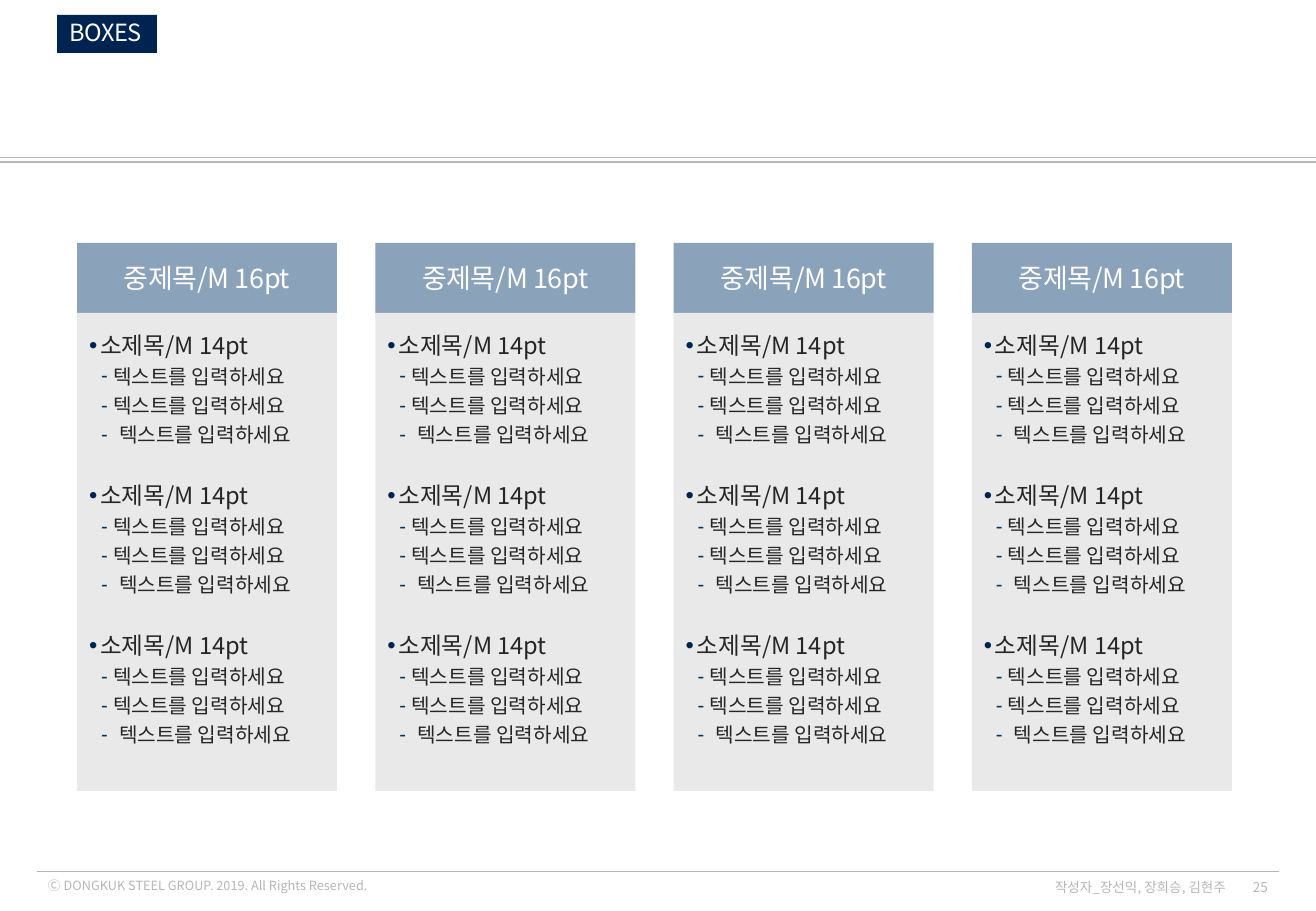
from pptx import Presentation
from pptx.dml.color import RGBColor
from pptx.enum.shapes import MSO_CONNECTOR, MSO_SHAPE
from pptx.enum.text import MSO_ANCHOR, PP_ALIGN
from pptx.oxml.ns import qn
from pptx.util import Pt
from lxml import etree

RECT, STRAIGHT = MSO_SHAPE.RECTANGLE, MSO_CONNECTOR.STRAIGHT
TOP, MIDDLE = MSO_ANCHOR.TOP, MSO_ANCHOR.MIDDLE
LEFT, CENTER, RIGHT = PP_ALIGN.LEFT, PP_ALIGN.CENTER, PP_ALIGN.RIGHT

# Content
BADGE = "BOXES"
COPYRIGHT = "Ⓒ DONGKUK STEEL GROUP. 2019. All Rights Reserved."
AUTHORS = "작성자_장선익, 장희승, 김현주"
PAGE = "25"
GROUP = ("소제목/M 14pt", ["텍스트를 입력하세요"] * 3)
COLUMNS = [("중제목/M 16pt", [GROUP] * 3)] * 4

THEME = {
    "font": "Noto Sans CJK KR", "bullet_font": "Arial",
    "navy": "002452", "dash": "003760", "header": "8BA2BB", "panel": "E9E9E9",
    "text": "262626", "white": "FFFFFF", "grey": "B6B6B6",
    "badge_pt": 14, "title_pt": 16, "group_pt": 14, "item_pt": 12,
    "copyright_pt": 7.5, "footer_pt": 8, "gap_pt": 17, "list_spacing": 1.2,
}

# Layout in px
SCALE = 7526
SLIDE_W, SLIDE_H = 1316, 911
RULES = [(0, SLIDE_W, 162, 1.5), (0, SLIDE_W, 157, 0.5), (37, 1279, 871, 0.5)]
COL_LEFT, COL_RIGHT, COL_W = 77, 1232, 260
HEAD_TOP, HEAD_H, PANEL_H = 243, 70, 478
PAD_X, PAD_Y = 12, 6
GROUP_INDENT = (11, 11)
ITEM_INDENT, LAST_ITEM_INDENT = (24, 12), (30, 18)


def px(n):
    return round(n * SCALE)


def color(name):
    return RGBColor.from_string(THEME[name])


def add_line(s, x1, x2, y, width):
    c = s.shapes.add_connector(STRAIGHT, px(x1), px(y), px(x2), px(y))
    c.line.color.rgb = color("grey")
    c.line.width = Pt(width)
    etree.SubElement(c._element.spPr, qn("a:effectLst"))


def set_frame(sp, anchor, pad_y=PAD_Y):
    tf = sp.text_frame
    tf.word_wrap = True
    tf.vertical_anchor = anchor
    tf.margin_left = tf.margin_right = px(PAD_X)
    tf.margin_top = tf.margin_bottom = px(pad_y)
    return tf


def add_box(s, x, y, w, h, fill, anchor, pad_y):
    sp = s.shapes.add_shape(RECT, px(x), px(y), px(w), px(h))
    sp.shadow.inherit = False
    sp.fill.solid()
    sp.fill.fore_color.rgb = color(fill)
    sp.line.fill.background()
    return set_frame(sp, anchor, pad_y)


def add_run(p, text, size, fill, align=LEFT, spacing=None):
    p.alignment = align
    r = p.add_run()
    r.text = text
    r.font.size = Pt(THEME[size])
    r.font.name = THEME["font"]
    r.font.color.rgb = color(fill)
    rPr = r.font._element
    etree.SubElement(rPr, qn("a:ea"), typeface=THEME["font"])
    if spacing:
        rPr.set("spc", str(spacing))


def add_bullet(p, char, fill, indent):
    left, hanging = indent
    p.line_spacing = THEME["list_spacing"]
    pPr = p._p.get_or_add_pPr()
    pPr.set("marL", str(px(left)))
    pPr.set("indent", str(-px(hanging)))
    clr = etree.SubElement(pPr, qn("a:buClr"))
    etree.SubElement(clr, qn("a:srgbClr"), val=THEME[fill])
    etree.SubElement(pPr, qn("a:buFont"), typeface=THEME["bullet_font"])
    etree.SubElement(pPr, qn("a:buChar"), char=char)


def add_label(s, x, y, w, h, text, size, align=LEFT):
    sp = s.shapes.add_textbox(px(x), px(y), px(w), px(h))
    tf = set_frame(sp, MIDDLE)
    add_run(tf.paragraphs[0], text, size, "grey", align)


def add_column(s, x, title, groups):
    head = add_box(s, x, HEAD_TOP, COL_W, HEAD_H, "header", MIDDLE, PAD_X)
    add_run(head.paragraphs[0], title, "title_pt", "white", CENTER, -20)
    tf = add_box(s, x, HEAD_TOP + HEAD_H, COL_W, PANEL_H, "panel", TOP, PAD_X)
    for g, (heading, items) in enumerate(groups):
        p = tf.add_paragraph() if g else tf.paragraphs[0]
        if g:
            p.space_before = Pt(THEME["gap_pt"])
        add_bullet(p, "•", "navy", GROUP_INDENT)
        add_run(p, heading, "group_pt", "text")
        for i, item in enumerate(items, 1):
            p = tf.add_paragraph()
            indent = LAST_ITEM_INDENT if i == len(items) else ITEM_INDENT
            add_bullet(p, "‐", "dash", indent)
            add_run(p, item, "item_pt", "text")


def main():
    prs = Presentation()
    prs.slide_width, prs.slide_height = px(SLIDE_W), px(SLIDE_H)
    s = prs.slides.add_slide(prs.slide_layouts[6])

    # Rules and footer
    for rule in RULES:
        add_line(s, *rule)
    add_label(s, 36, 871, 422, 28, COPYRIGHT, "copyright_pt")
    add_label(s, 1230, 877, 50, 20, PAGE, "footer_pt", RIGHT)
    add_label(s, 1034, 877, 204, 20, AUTHORS, "footer_pt", RIGHT)

    # Badge
    tf = add_box(s, 57, 15, 100, 38, "navy", MIDDLE, PAD_Y)
    tf.word_wrap = False
    tf.paragraphs[0].line_spacing = 0.9
    add_run(tf.paragraphs[0], BADGE, "badge_pt", "white", LEFT, -20)

    # Columns at equal steps
    step = (COL_RIGHT - COL_LEFT - COL_W) / (len(COLUMNS) - 1)
    for i, (title, groups) in enumerate(COLUMNS):
        add_column(s, COL_LEFT + i * step, title, groups)

    prs.save("out.pptx")


if __name__ == "__main__":
    main()
